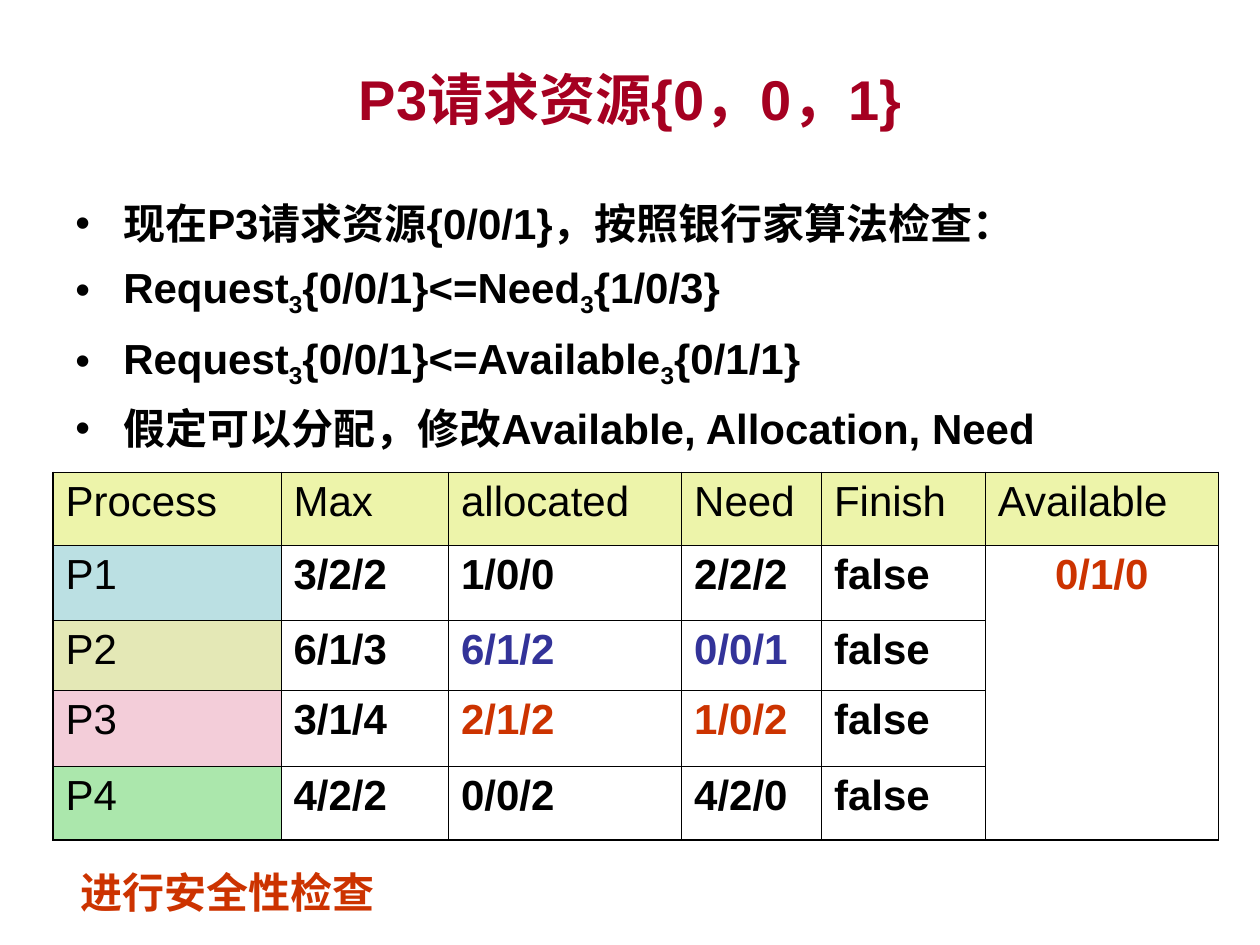
import pptx
import pptx.util
import pptx.dml.color
import pptx.enum.text
import pptx.oxml.ns
import lxml.etree
from pptx.util import Inches

COLORS = {
    "title": "A50021", "text": "000000", "changed": "CC3300", "earlier": "333399",
    "header": "EDF4AA", "P1": "BBE0E3", "P2": "E4E8B6", "P3": "F3CDD9", "P4": "ABE7AC",
}
ALIGN = pptx.enum.text.PP_ALIGN


def add_run(paragraph, text, color="text", size=24, bold=True):
    run = paragraph.add_run()
    run.text = text
    run.font.name = "Arial"
    run.font.size = pptx.util.Pt(size)
    run.font.bold = bold
    run.font.color.rgb = pptx.dml.color.RGBColor.from_string(COLORS[color])
    return run


def add_element(parent, tag, **attributes):
    return lxml.etree.SubElement(parent, pptx.oxml.ns.qn(tag), attributes)


deck = pptx.Presentation()
deck.slide_width, deck.slide_height = Inches(10), Inches(7.5)
slide = deck.slides.add_slide(deck.slide_layouts[6])

# Title
title = slide.shapes.add_textbox(Inches(0.5), Inches(0.3), Inches(9), Inches(0.95)).text_frame
title.word_wrap = True
title.vertical_anchor = pptx.enum.text.MSO_ANCHOR.MIDDLE
title.paragraphs[0].alignment = ALIGN.CENTER
add_run(title.paragraphs[0], "P3请求资源{0，0，1}", "title", 32)

# Bulleted steps; every second part is a subscript
steps = [
    ["现在P3请求资源{0/0/1}，按照银行家算法检查："],
    ["Request", "3", "{0/0/1}<=Need", "3", "{1/0/3}"],
    ["Request", "3", "{0/0/1}<=Available", "3", "{0/1/1}"],
    ["假定可以分配，修改Available, Allocation, Need"],
]
body = slide.shapes.add_textbox(Inches(0.5), Inches(1.5), Inches(9.25), Inches(2.25)).text_frame
body.word_wrap = True
for i, parts in enumerate(steps):
    step = body.paragraphs[0] if i == 0 else body.add_paragraph()
    step.line_spacing = 1.05
    step.space_before = pptx.util.Pt(6)
    properties = step._p.get_or_add_pPr()
    properties.set("marL", str(Inches(0.38)))
    properties.set("indent", str(-Inches(0.38)))
    bullet_color = add_element(properties, "a:buClr")
    add_element(bullet_color, "a:srgbClr", val=COLORS["text"])
    add_element(properties, "a:buFont", typeface="Arial")
    add_element(properties, "a:buChar", char="•")
    for j, part in enumerate(parts):
        run = add_run(step, part)
        if j % 2:
            run.font._element.set("baseline", "-25000")

# Allocation table
rows = [
    ["Process", "Max", "allocated", "Need", "Finish", "Available"],
    ["P1", "3/2/2", "1/0/0", "2/2/2", "false", "0/1/0"],
    ["P2", "6/1/3", "6/1/2", "0/0/1", "false", ""],
    ["P3", "3/1/4", "2/1/2", "1/0/2", "false", ""],
    ["P4", "4/2/2", "0/0/2", "4/2/0", "false", ""],
]
highlights = {(1, 5): "changed", (2, 2): "earlier", (2, 3): "earlier",
              (3, 2): "changed", (3, 3): "changed"}
last_row, last_col = len(rows) - 1, len(rows[0]) - 1
allocation = slide.shapes.add_table(len(rows), len(rows[0]), Inches(0.42), Inches(3.75),
                                    Inches(9.25), Inches(2.92)).table
allocation.first_row = False
allocation.horz_banding = False
for column, width in zip(allocation.columns, [1.81, 1.33, 1.85, 1.11, 1.3, 1.85]):
    column.width = Inches(width)
for row, height in zip(allocation.rows, [0.58, 0.59, 0.56, 0.6, 0.59]):
    row.height = Inches(height)
allocation.cell(1, last_col).merge(allocation.cell(last_row, last_col))

for r, values in enumerate(rows):
    for c, value in enumerate(values):
        cell = allocation.cell(r, c)

        # Borders, heavier around the outside
        outer = {"L": c == 0, "R": c == last_col, "T": r == 0,
                 "B": r == last_row or cell.is_merge_origin}
        for side, heavy in outer.items():
            if cell.is_spanned and (side == "T" or side == "B" and not heavy):
                continue
            line = add_element(cell._tc.get_or_add_tcPr(), "a:ln" + side,
                               w=str(pptx.util.Pt(1.08 if heavy else 0.45)))
            add_element(add_element(line, "a:solidFill"), "a:srgbClr", val=COLORS["text"])

        # Fill
        fill_name = "header" if r == 0 else value if c == 0 else None
        if fill_name:
            cell.fill.solid()
            cell.fill.fore_color.rgb = pptx.dml.color.RGBColor.from_string(COLORS[fill_name])
        else:
            cell.fill.background()

        # Text
        if value:
            entry = cell.text_frame.paragraphs[0]
            entry.space_before = pptx.util.Pt(6)
            if cell.is_merge_origin:
                entry.alignment = ALIGN.CENTER
            add_run(entry, value, highlights.get((r, c), "text"), bold=r > 0 and c > 0)

# Next step
next_step = slide.shapes.add_textbox(Inches(0.54), Inches(6.83), Inches(2.53), Inches(0.5)).text_frame
next_step.word_wrap = False
next_step.auto_size = pptx.enum.text.MSO_AUTO_SIZE.SHAPE_TO_FIT_TEXT
add_run(next_step.paragraphs[0], "进行安全性检查", "changed")

deck.save("out.pptx")
